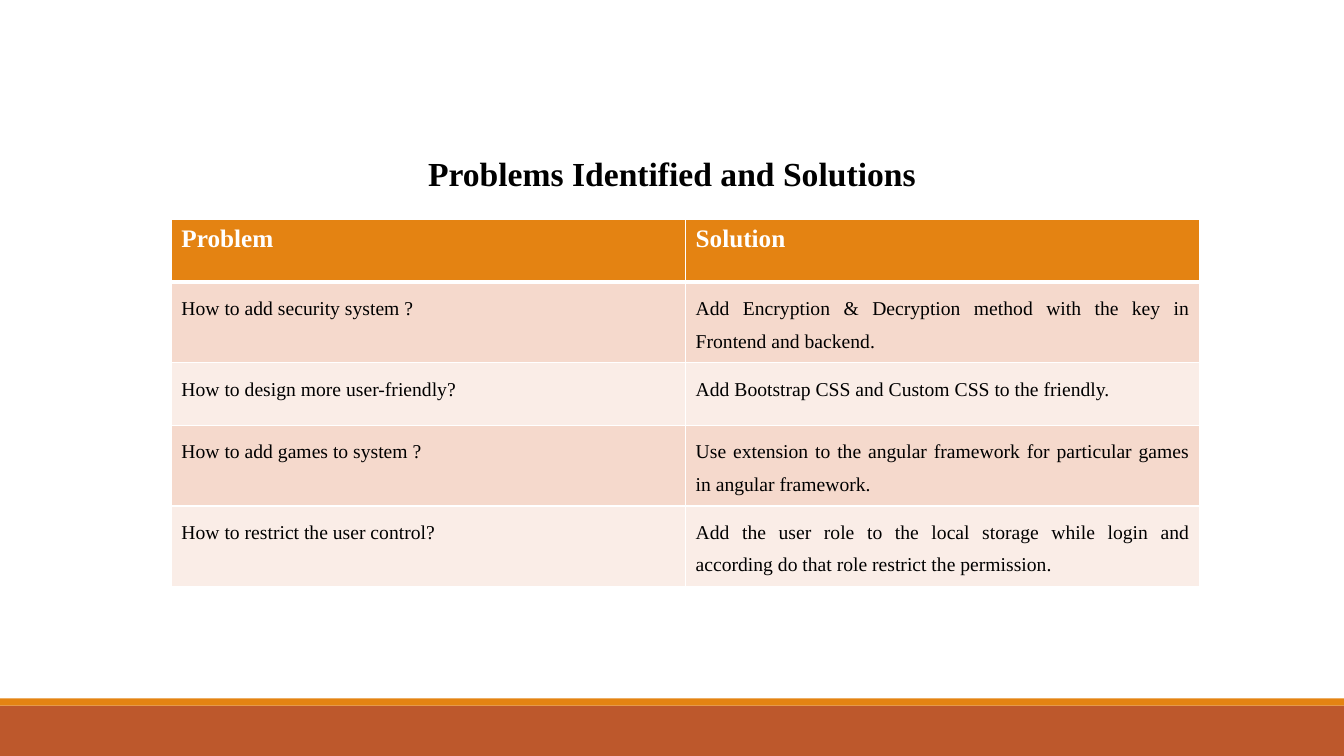
import pptx
import pptx.dml.color
import pptx.enum.shapes
import pptx.enum.text
import pptx.oxml
import pptx.oxml.ns
import pptx.util
from dataclasses import dataclass

Inches = pptx.util.Inches
Pt = pptx.util.Pt
ALIGN = pptx.enum.text.PP_ALIGN


@dataclass
class Theme:
    font: str = "Times New Roman"
    text: str = "000000"
    white: str = "FFFFFF"
    orange: str = "E48312"
    rust: str = "BD582C"
    band_dark: str = "F5D9CC"
    band_light: str = "FAEDE7"
    title_size: int = 24
    header_size: int = 18
    body_size: int = 14


def rgb(value):
    return pptx.dml.color.RGBColor.from_string(value)


def write(tf, text, font, size, color, bold=False, align=ALIGN.LEFT, spacing=None):
    p = tf.paragraphs[0]
    p.alignment = align
    if spacing:
        p.line_spacing = spacing
    r = p.add_run()
    r.text = text
    r.font.name = font
    r.font.size = Pt(size)
    r.font.bold = bold
    r.font.color.rgb = rgb(color)


def set_border(cell, side, color, width):
    tc_pr = cell._tc.get_or_add_tcPr()
    tc_pr.append(pptx.oxml.parse_xml(
        f'<a:ln{side} {pptx.oxml.ns.nsdecls("a")} w="{Pt(width)}">'
        f'<a:solidFill><a:srgbClr val="{color}"/></a:solidFill></a:ln{side}>'
    ))


class Deck:
    def __init__(self, theme):
        self.theme = theme
        self.prs = pptx.Presentation()
        self.prs.slide_width = Inches(13.33)
        self.prs.slide_height = Inches(7.5)
        self.s = self.prs.slides.add_slide(self.prs.slide_layouts[6])

    def bar(self, top, height, color):
        sp = self.s.shapes.add_shape(
            pptx.enum.shapes.MSO_SHAPE.RECTANGLE,
            0, Inches(top), self.prs.slide_width, Inches(height))
        sp.shadow.inherit = False
        sp.fill.solid()
        sp.fill.fore_color.rgb = rgb(color)
        sp.line.fill.background()

    def title(self, text, left, top, width, height):
        sp = self.s.shapes.add_textbox(
            Inches(left), Inches(top), Inches(width), Inches(height))
        tf = sp.text_frame
        tf.word_wrap = True
        write(tf, text, self.theme.font, self.theme.title_size, self.theme.text,
              bold=True, align=ALIGN.CENTER)

    def table(self, rows, left, top, width, row_height):
        t = self.theme
        table = self.s.shapes.add_table(
            len(rows), len(rows[0]), Inches(left), Inches(top),
            Inches(width), Inches(row_height * len(rows))).table
        for i, row in enumerate(rows):
            table.rows[i].height = Inches(row_height)
            for j, text in enumerate(row):
                cell = table.cell(i, j)
                widths = {"L": 1, "R": 1, "T": 3 if i == 1 else 1, "B": 3 if i == 0 else 1}
                for side, line_width in widths.items():
                    set_border(cell, side, t.white, line_width)
                cell.fill.solid()
                if i == 0:
                    cell.fill.fore_color.rgb = rgb(t.orange)
                    write(cell.text_frame, text, t.font, t.header_size, t.white, bold=True)
                else:
                    cell.fill.fore_color.rgb = rgb(t.band_dark if i % 2 else t.band_light)
                    write(cell.text_frame, text, t.font, t.body_size, t.text,
                          align=ALIGN.JUSTIFY if j else ALIGN.LEFT, spacing=1.5)


ROWS = [
    ("Problem", "Solution"),
    ("How to add security system ?",
     "Add Encryption & Decryption method with the key in Frontend and backend."),
    ("How to design more user-friendly?",
     "Add Bootstrap CSS and Custom CSS to the friendly."),
    ("How to add games to system ?",
     "Use extension to the angular framework for particular games in angular framework."),
    ("How to restrict the user control?",
     "Add the user role to the local storage while login and "
     "according do that role restrict the permission."),
]


def main():
    theme = Theme()
    deck = Deck(theme)
    deck.bar(7, 0.5, theme.rust)
    deck.bar(6.93, 0.07, theme.orange)
    deck.title("Problems Identified and Solutions", 0.46, 1.47, 12.41, 0.91)
    deck.table(ROWS, 1.7, 2.18, 10.2, 0.62)
    deck.prs.save("out.pptx")


if __name__ == "__main__":
    main()
